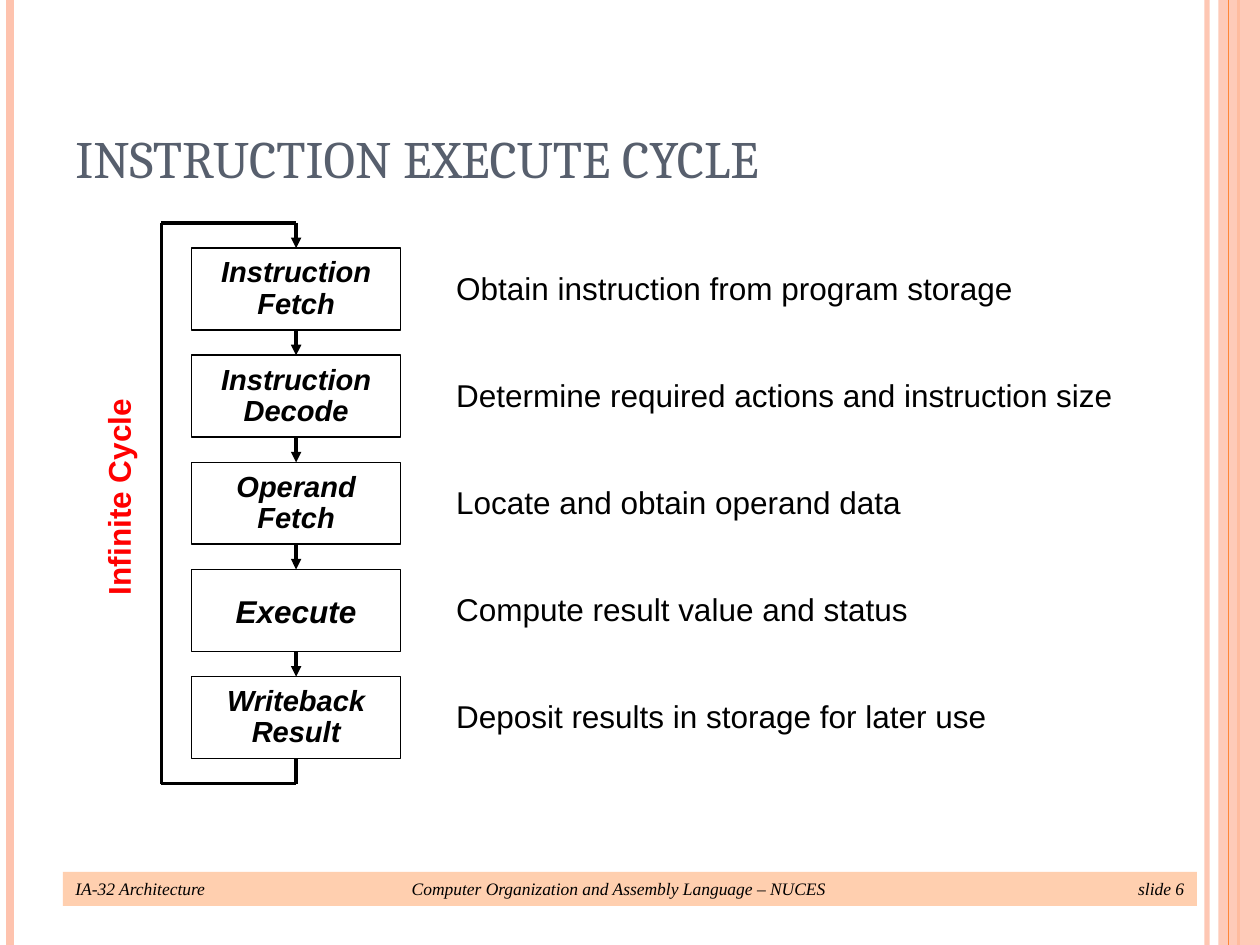
"""Builds the instruction execute cycle slide."""
from dataclasses import dataclass

from lxml.etree import SubElement
from pptx import Presentation
from pptx.dml.color import RGBColor
from pptx.enum.shapes import MSO_CONNECTOR as Link, MSO_SHAPE as Preset
from pptx.enum.text import MSO_ANCHOR as Anchor, PP_ALIGN as Align
from pptx.oxml.ns import qn
from pptx.util import Inches, Pt


@dataclass(frozen=True)
class Theme:
    """Colours, fonts and type sizes of the slide."""
    ink: str = "000000"
    heading: str = "575F6D"
    alert: str = "FF0000"
    band: str = "FFCFAF"
    blush: str = "FEC3AE"
    orange: str = "FE8637"
    sans: str = "Arial"
    serif: str = "Cambria"
    footer_font: str = "Times New Roman"
    title_size: float = 30
    body_size: float = 18
    step_size: float = 16.6
    footer_size: float = 10


class SlideBuilder:
    """Draws on one slide with a grid of 100 columns by 75 rows."""

    COLUMNS, ROWS = 100, 75

    def __init__(self, theme):
        """Open a deck with one blank slide."""
        self.theme = theme
        self.deck = Presentation()
        self.deck.slide_width, self.deck.slide_height = Inches(10), Inches(7.5)
        self.slide = self.deck.slides.add_slide(self.deck.slide_layouts[6])

    def place(self, column, row):
        """Turn a grid position or extent into slide lengths."""
        return (round(self.deck.slide_width * column / self.COLUMNS),
                round(self.deck.slide_height * row / self.ROWS))

    def fade(self, element, opacity):
        """Set the opacity of the solid fill in an element, in per cent."""
        colour = element.find(qn("a:solidFill"))[0]
        SubElement(colour, qn("a:alpha"), val=str(opacity * 1000))

    def line(self, start, end, colour, width, arrow=False, opacity=100):
        """Draw a straight line between two grid points."""
        link = self.slide.shapes.add_connector(
            Link.STRAIGHT, *self.place(*start), *self.place(*end))
        link.line.color.rgb = RGBColor.from_string(colour)
        link.line.width = Pt(width)
        properties = link._element.spPr
        outline = properties.find(qn("a:ln"))
        if opacity < 100:
            self.fade(outline, opacity)
        if arrow:
            SubElement(outline, qn("a:tailEnd"), type="triangle")
        SubElement(properties, qn("a:effectLst"))
        return link

    def box(self, at, size, fill=None, outline=None, opacity=100):
        """Draw a rectangle."""
        rect = self.slide.shapes.add_shape(
            Preset.RECTANGLE, *self.place(*at), *self.place(*size))
        rect.shadow.inherit = False
        if fill:
            rect.fill.solid()
            rect.fill.fore_color.rgb = RGBColor.from_string(fill)
            if opacity < 100:
                self.fade(rect._element.spPr, opacity)
        else:
            rect.fill.background()
        if outline:
            rect.line.color.rgb = RGBColor.from_string(outline)
            rect.line.width = Pt(1)
        else:
            rect.line.fill.background()
        return rect

    def label(self, at, size, text, rotation=0, **style):
        """Place a text box."""
        area = self.slide.shapes.add_textbox(*self.place(*at), *self.place(*size))
        area.rotation = rotation
        self.typeset(area, text, **style)

    def typeset(self, shape, text, points, font, colour, bold=False, italic=False,
                align=Align.LEFT, anchor=Anchor.TOP, spacing=None,
                margins=(0.07, 0.03), tabs=()):
        """Fill a shape with one paragraph per line of text."""
        frame = shape.text_frame
        frame.word_wrap = True
        frame.vertical_anchor = anchor
        frame.margin_left = frame.margin_right = Inches(margins[0])
        frame.margin_top = frame.margin_bottom = Inches(margins[1])
        for index, words in enumerate(text.split("\n")):
            paragraph = frame.add_paragraph() if index else frame.paragraphs[0]
            paragraph.alignment = align
            if spacing:
                paragraph.line_spacing = spacing
            if tabs:
                stops = SubElement(paragraph._p.get_or_add_pPr(), qn("a:tabLst"))
                for position, kind in tabs:
                    SubElement(stops, qn("a:tab"), pos=str(int(Inches(position))), algn=kind)
            run = paragraph.add_run()
            run.text = words
            run.font.name, run.font.size = font, Pt(points)
            run.font.bold, run.font.italic = bold, italic
            run.font.color.rgb = RGBColor.from_string(colour)


STEPS = [
    ("Instruction\nFetch", "Obtain instruction from program storage"),
    ("Instruction\nDecode", "Determine required actions and instruction size"),
    ("Operand\nFetch", "Locate and obtain operand data"),
    ("Execute", "Compute result value and status"),
    ("Writeback\nResult", "Deposit results in storage for later use"),
]
STEP_LEFT, STEP_TOP, STEP_WIDTH, STEP_HEIGHT, PITCH = 15.2, 19.7, 16.6, 6.5, 8.5


def draw_frame(page):
    """Draw the side bands, the footer and the title."""
    theme = page.theme

    def stripe(column, colour, width, opacity=100):
        """Draw a line over the full height."""
        page.line((column, 0), (column, page.ROWS), colour, width, opacity=opacity)

    stripe(95.8, theme.blush, 3, 93)
    stripe(0.8, theme.blush, 4.5)
    stripe(98.3, theme.orange, 1.5)
    page.box((96.7, 0), (3.3, page.ROWS), theme.blush, opacity=87)
    stripe(97.5, theme.orange, 0.75)
    footer = page.box((5, 69.2), (90, 2.7), theme.band)
    page.typeset(footer,
                 "IA-32 Architecture\tComputer Organization and Assembly Language – NUCES\tslide 6",
                 theme.footer_size, theme.footer_font, theme.ink, italic=True,
                 anchor=Anchor.MIDDLE, margins=(0.1, 0.05),
                 tabs=((4.31, "ctr"), (8.8, "r")))
    page.label((5, 3), (81.7, 12.5), "INSTRUCTION EXECUTE CYCLE",
               points=theme.title_size, font=theme.serif, colour=theme.heading,
               anchor=Anchor.BOTTOM, margins=(0.1, 0.05))


def draw_cycle(page):
    """Draw the steps, their meanings and the loop around them."""
    theme = page.theme
    boxes = []
    for index, (step, meaning) in enumerate(STEPS):
        top = STEP_TOP + index * PITCH
        page.label((35.5, top + 1.5), (54, 3.5), meaning, points=theme.body_size,
                   font=theme.sans, colour=theme.ink, spacing=0.97)
        two_lines = "\n" in step
        box = page.box((STEP_LEFT, top), (STEP_WIDTH, STEP_HEIGHT), outline=theme.ink)
        page.typeset(box, step, theme.step_size if two_lines else theme.body_size,
                     theme.sans, theme.ink, bold=True, italic=True, align=Align.CENTER,
                     anchor=Anchor.MIDDLE, spacing=0.9 if two_lines else None)
        boxes.append(box)

    middle = STEP_LEFT + STEP_WIDTH / 2
    gap = PITCH - STEP_HEIGHT
    for index, box in enumerate(boxes):
        top = STEP_TOP + index * PITCH
        arrow = page.line((middle, top - gap), (middle, top), theme.ink, 2, arrow=True)
        if index:
            arrow.begin_connect(boxes[index - 1], 2)
        arrow.end_connect(box, 0)

    loop_left, loop_top = 12.8, STEP_TOP - gap
    loop_bottom = STEP_TOP + len(STEPS) * PITCH
    corners = [(middle, loop_bottom - gap), (middle, loop_bottom),
               (loop_left, loop_bottom), (loop_left, loop_top), (middle, loop_top)]
    sides = [page.line(start, end, theme.ink, 2)
             for start, end in zip(corners, corners[1:])]
    sides[0].begin_connect(boxes[-1], 2)
    page.label((-15.1, 37.7), (49.2, 3.5), "Infinite Cycle", rotation=270,
               points=theme.body_size, font=theme.sans, colour=theme.alert,
               bold=True, align=Align.CENTER, spacing=0.97)


def main():
    """Build and save the slide."""
    page = SlideBuilder(Theme())
    draw_frame(page)
    draw_cycle(page)
    page.deck.save("out.pptx")


if __name__ == "__main__":
    main()
